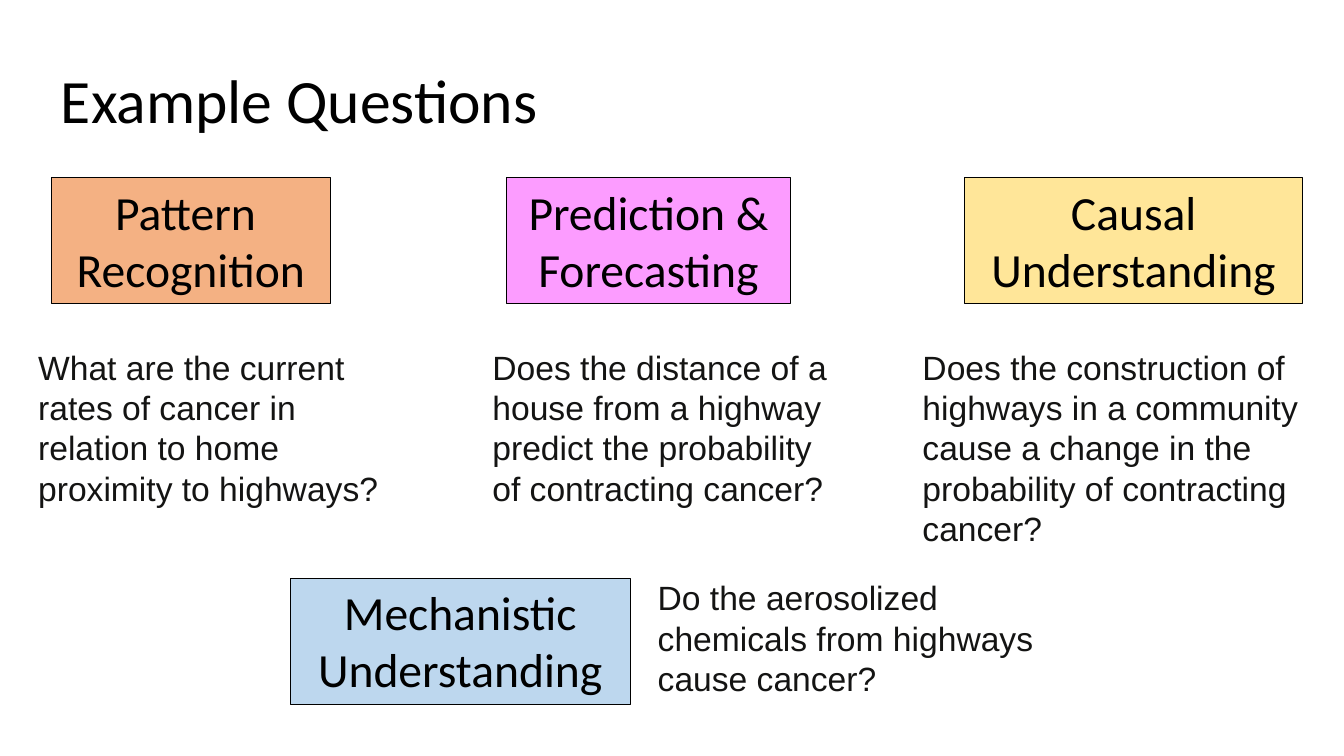
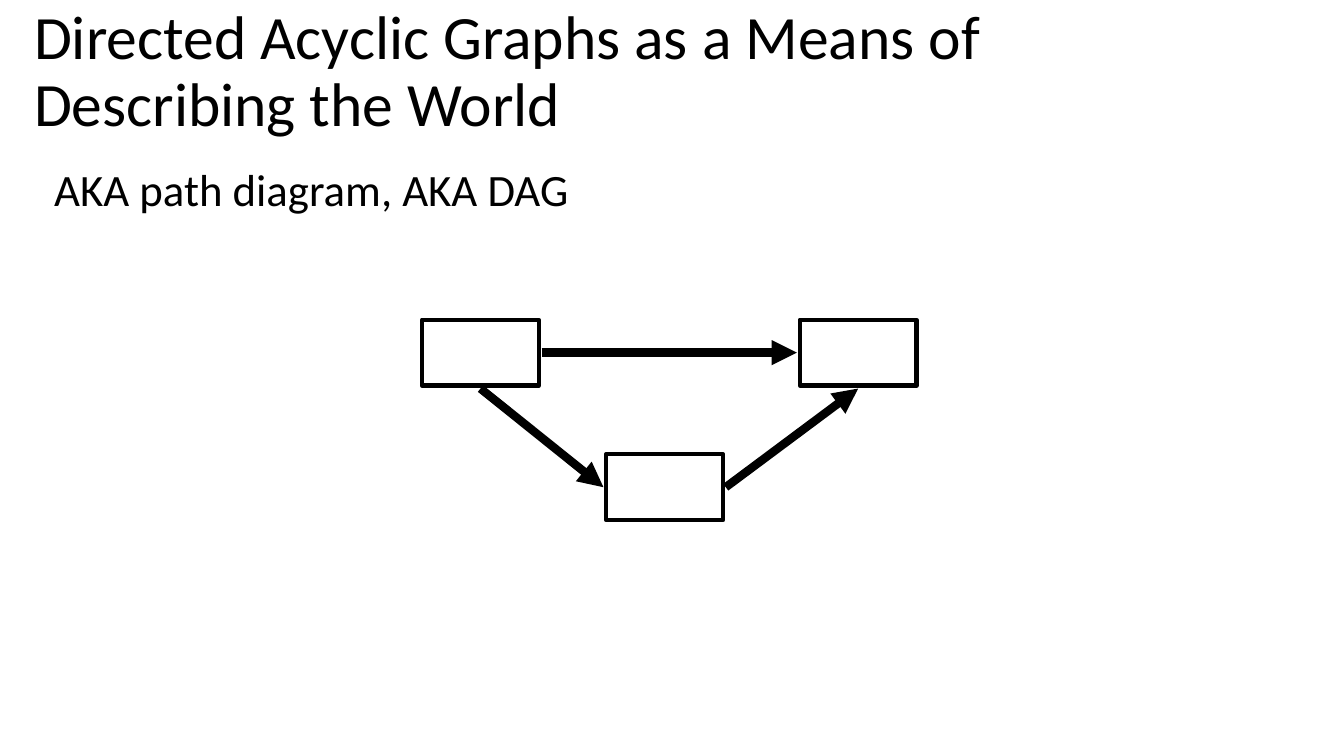
import pptx
import pptx.util
import pptx.dml.color
import pptx.enum.shapes
import pptx.enum.text
from dataclasses import dataclass
from lxml import etree

ANCHOR = pptx.enum.text.MSO_ANCHOR
ALIGN = pptx.enum.text.PP_ALIGN
FIT = pptx.enum.text.MSO_AUTO_SIZE.SHAPE_TO_FIT_TEXT
A = "{http://schemas.openxmlformats.org/drawingml/2006/main}"


@dataclass(frozen=True)
class Theme:
    width: float = 13.33
    height: float = 7.5
    ink: str = "000000"
    body_ink: str = "141413"
    orange: str = "F4B183"
    pink: str = "FC9CFF"
    yellow: str = "FFE699"
    blue: str = "BDD7EE"
    heading_font: str = "Calibri"
    body_font: str = "Arial"
    title: int = 44
    card: int = 34
    subtitle: int = 32
    body: int = 24
    card_line: float = 0.75
    node_line: float = 3
    arrow_line: float = 6


T = Theme()


# Grid of 100 columns by 100 rows over the slide
def col(n):
    return pptx.util.Inches(T.width * n / 100)


def row(n):
    return pptx.util.Inches(T.height * n / 100)


def place(box):
    x, y, w, h = box
    return col(x), row(y), col(w), row(h)


def rgb(value):
    return pptx.dml.color.RGBColor.from_string(value)


# Shared parts
def write(sp, lines, size, font=T.heading_font, color=T.ink, spacing=None,
          align=ALIGN.LEFT, **frame):
    tf = sp.text_frame
    for name, value in {"word_wrap": True, "vertical_anchor": ANCHOR.TOP, **frame}.items():
        setattr(tf, name, value)
    for i, line in enumerate(lines):
        p = tf.add_paragraph() if i else tf.paragraphs[0]
        p.alignment, p.line_spacing = align, spacing
        r = p.add_run()
        r.text = line
        for name, value in {"size": pptx.util.Pt(size), "name": font}.items():
            setattr(r.font, name, value)
        r.font.color.rgb = rgb(color)


def text(s, box, words, size, **fmt):
    write(s.shapes.add_textbox(*place(box)), [words], size, **fmt)


def title(s, x, y, words):
    text(s, (x, y, 86.3, 19.3), words, T.title, spacing=0.9, vertical_anchor=ANCHOR.MIDDLE)


def rect(s, box, line, fill=None):
    sp = s.shapes.add_shape(pptx.enum.shapes.MSO_SHAPE.RECTANGLE, *place(box))
    sp.shadow.inherit = False
    if fill:
        sp.fill.solid()
        sp.fill.fore_color.rgb = rgb(fill)
    else:
        sp.fill.background()
    sp.line.color.rgb = rgb(T.ink)
    sp.line.width = pptx.util.Pt(line)
    return sp


def arrow(s, start, end):
    c = s.shapes.add_connector(pptx.enum.shapes.MSO_CONNECTOR.STRAIGHT,
                               col(start[0]), row(start[1]), col(end[0]), row(end[1]))
    c.line.color.rgb = rgb(T.ink)
    c.line.width = pptx.util.Pt(T.arrow_line)
    etree.SubElement(c.line._get_or_add_ln(), A + "tailEnd", type="triangle")
    etree.SubElement(c._element.spPr, A + "effectLst")


# A coloured card with its question; offset and size of the question in grid units
def example(s, x, y, width, fill, lines, offset, size, question):
    card = rect(s, (x, y, width, 16.7), T.card_line, fill)
    write(card, lines, T.card, align=ALIGN.CENTER, word_wrap=False, auto_size=FIT)
    text(s, (x + offset[0], y + offset[1], *size), question, T.body,
         font=T.body_font, color=T.body_ink, auto_size=FIT)


# Three boxes: two on top, one below, joined by arrows
def triangle_graph(s, box):
    x, y, w, h = box
    nw = nh = 8.7
    gap_x, gap_y = 0.2, 0.4
    left, right, mid = (x, y), (x + w - nw, y), (x + 13.7, y + h - nh)
    for node in (left, mid, right):
        rect(s, (*node, nw, nh), T.node_line)

    def west(n):
        return n[0] - gap_x, n[1] + nh / 2

    def east(n):
        return n[0] + nw + gap_x, n[1] + nh / 2

    def south(n):
        return n[0] + nw / 2, n[1] + nh + gap_y

    for start, end in ((south(left), west(mid)), (east(mid), south(right)),
                       (east(left), west(right))):
        arrow(s, start, end)


# Slides
def questions_slide(s):
    title(s, 3.8, 4.1, "Example Questions")
    top, below = 23.5, 21.7
    example(s, 3.8, top, 20.8, T.orange, ["Pattern ", "Recognition"],
            (-1.7, below), (27.2, 22.9),
            "What are the current rates of cancer in relation to home proximity to highways?")
    example(s, 37.7, top, 21.1, T.pink, ["Prediction &", "Forecasting"],
            (-1.8, below), (27.2, 22.9),
            "Does the distance of a house from a highway predict the probability "
            "of contracting cancer?")
    example(s, 71.8, top, 25.1, T.yellow, ["Causal", "Understanding"],
            (-3.9, below), (30.8, 28.3),
            "Does the construction of highways in a community cause a change in the "
            "probability of contracting cancer?")
    example(s, 21.6, 76.5, 25.3, T.blue, ["Mechanistic", "Understanding"],
            (26.6, -0.8), (30.8, 17.5),
            "Do the aerosolized chemicals from highways cause cancer?")


def graph_slide(s):
    title(s, 1.8, 0, "Directed Acyclic Graphs as a Means of Describing the World")
    text(s, (3.3, 20.7, 46.7, 8.5), "AKA path diagram, AKA DAG", T.subtitle)
    triangle_graph(s, (31.4, 42.3, 36.8, 26.5))


def main():
    prs = pptx.Presentation()
    prs.slide_width, prs.slide_height = col(100), row(100)
    for build in (questions_slide, graph_slide):
        build(prs.slides.add_slide(prs.slide_layouts[6]))
    prs.save("out.pptx")


if __name__ == "__main__":
    main()
